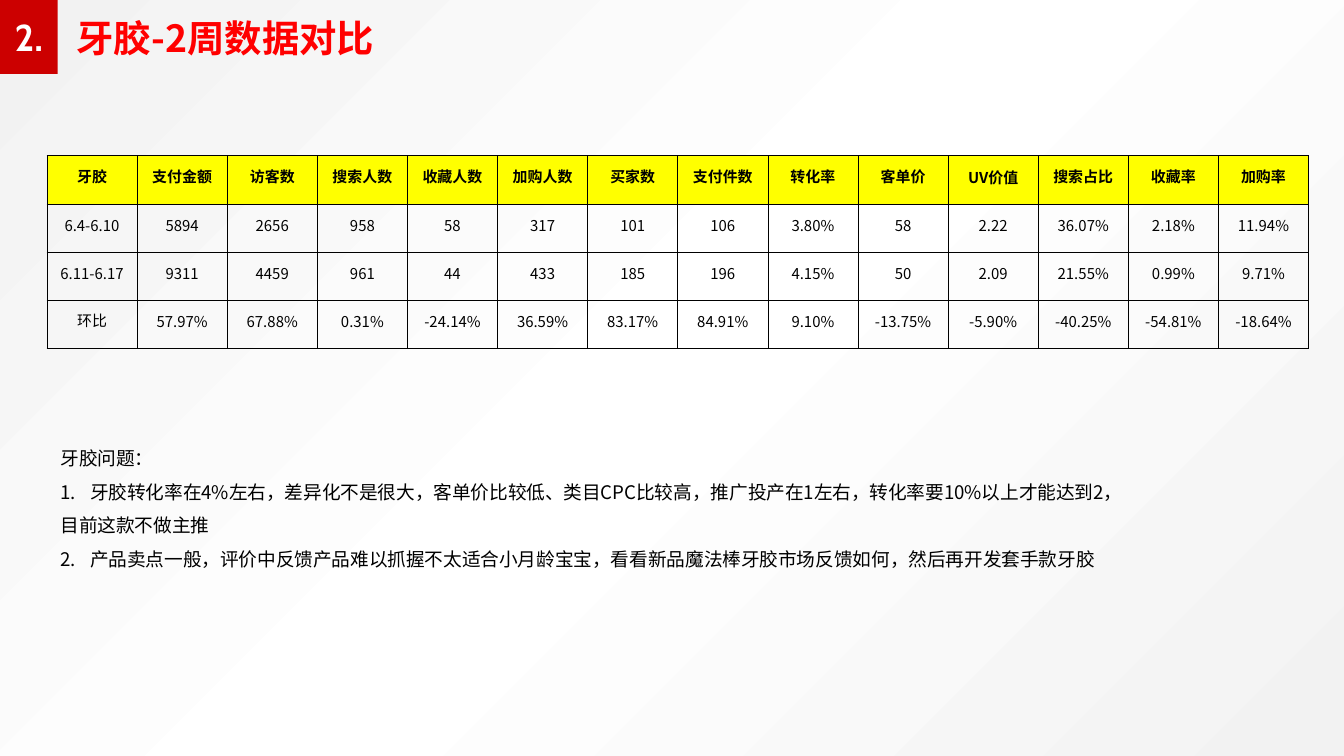
import pptx
import pptx.dml.color
import pptx.enum.shapes
import pptx.enum.text
import pptx.oxml
import pptx.oxml.ns
import pptx.util
from lxml import etree

Inches, Pt = pptx.util.Inches, pptx.util.Pt
RGBColor = pptx.dml.color.RGBColor
Align = pptx.enum.text.PP_ALIGN
Anchor = pptx.enum.text.MSO_ANCHOR

RED = RGBColor(0xCC, 0x00, 0x00)
TITLE_RED = RGBColor(0xFF, 0x00, 0x00)
YELLOW = RGBColor(0xFF, 0xFF, 0x00)
WHITE = RGBColor(0xFF, 0xFF, 0xFF)
BLACK = RGBColor(0x00, 0x00, 0x00)
SILVER = RGBColor(0xF2, 0xF2, 0xF2)
SANS = "Noto Sans CJK SC"

NUMBER = "2."
TITLE = "牙胶-2周数据对比"
NOTES = [
    "牙胶问题：",
    "1.\t牙胶转化率在4%左右，差异化不是很大，客单价比较低、类目CPC比较高，推广投产在1左右，转化率要10%以上才能达到2，",
    "目前这款不做主推",
    "2.\t产品卖点一般，评价中反馈产品难以抓握不太适合小月龄宝宝，看看新品魔法棒牙胶市场反馈如何，然后再开发套手款牙胶",
]
ROWS = [
    ["牙胶", "支付金额", "访客数", "搜索人数", "收藏人数", "加购人数", "买家数",
     "支付件数", "转化率", "客单价", "UV价值", "搜索占比", "收藏率", "加购率"],
    ["6.4-6.10", "5894", "2656", "958", "58", "317", "101",
     "106", "3.80%", "58", "2.22", "36.07%", "2.18%", "11.94%"],
    ["6.11-6.17", "9311", "4459", "961", "44", "433", "185",
     "196", "4.15%", "50", "2.09", "21.55%", "0.99%", "9.71%"],
    ["环比", "57.97%", "67.88%", "0.31%", "-24.14%", "36.59%", "83.17%",
     "84.91%", "9.10%", "-13.75%", "-5.90%", "-40.25%", "-54.81%", "-18.64%"],
]

SLIDE_WIDTH = 10
SLIDE_HEIGHT = SLIDE_WIDTH * 9 / 16
LEFT, WIDTH = 0.35, 9.39
TABLE_TOP, TABLE_HEIGHT = 1.16, 1.43
NUMBER_INDENT = 0.22
BADGE_FONT = {"name": "Cabin", "size": Pt(20), "bold": True}
TITLE_FONT = {"name": SANS, "size": Pt(20), "bold": True}
NOTE_FONT = {"name": SANS, "size": Pt(10), "bold": False}
HEAD_FONT = {"name": SANS, "size": Pt(8), "bold": True}
CELL_FONT = {"name": SANS, "size": Pt(8), "bold": False}
CELL_FORMAT = {
    "vertical_anchor": Anchor.MIDDLE,
    "margin_left": Inches(0.01), "margin_right": Inches(0.01),
    "margin_top": Inches(0.01), "margin_bottom": Inches(0.05),
}


def apply(target, values):
    for name, value in values.items():
        setattr(target, name, value)


def add_element(parent, tag, **attributes):
    return etree.SubElement(parent, pptx.oxml.ns.qn(tag), attributes)


def write(para, text, font, color, align=Align.LEFT, east_asian=SANS):
    para.alignment = align
    span = para.add_run()
    span.text = text
    apply(span.font, font)
    span.font.color.rgb = color
    add_element(span.font._element, "a:ea", typeface=east_asian)


def place(shape, left, top, width, height):
    apply(shape, {"left": Inches(left), "top": Inches(top),
                  "width": Inches(width), "height": Inches(height)})


def paint_background(page):
    fill = page.background.fill
    fill.gradient()
    gradient = page.background._cSld.find(".//" + pptx.oxml.ns.qn("a:gradFill"))
    for child in list(gradient):
        gradient.remove(child)
    stops = add_element(gradient, "a:gsLst")
    for position, color in ((0, SILVER), (50, WHITE), (100, SILVER)):
        stop = add_element(stops, "a:gs", pos=str(position * 1000))
        add_element(stop, "a:srgbClr", val=str(color))
    circle = add_element(gradient, "a:path", path="circle")
    add_element(circle, "a:fillToRect", l="100000", t="100000")


def add_badge(page):
    badge = page.shapes.add_shape(
        pptx.enum.shapes.MSO_SHAPE.RECTANGLE, 0, 0, Inches(0.43), Inches(0.55))
    badge.shadow.inherit = False
    badge.fill.solid()
    badge.fill.fore_color.rgb = RED
    badge.line.fill.background()
    apply(badge.text_frame, {"vertical_anchor": Anchor.MIDDLE, "word_wrap": True,
                             "margin_left": 0, "margin_right": 0})
    write(badge.text_frame.paragraphs[0], NUMBER, BADGE_FONT, WHITE, Align.CENTER)


def fill_title(page):
    title = page.shapes.title
    place(title, 0.47, 0.06, 2.44, 0.44)
    apply(title.text_frame, {
        "vertical_anchor": Anchor.TOP, "word_wrap": True,
        "auto_size": pptx.enum.text.MSO_AUTO_SIZE.SHAPE_TO_FIT_TEXT})
    write(title.text_frame.paragraphs[0], TITLE, TITLE_FONT, TITLE_RED)


def fill_notes(page):
    body = page.placeholders[1]
    place(body, LEFT, 3.19, WIDTH, 1.39)
    frame = body.text_frame
    apply(frame, {"vertical_anchor": Anchor.TOP, "word_wrap": True,
                  "auto_size": pptx.enum.text.MSO_AUTO_SIZE.NONE})
    for index, text in enumerate(NOTES):
        para = frame.add_paragraph() if index else frame.paragraphs[0]
        apply(para, {"line_spacing": 1.5, "space_before": Pt(0)})
        indent = Inches(NUMBER_INDENT) if "\t" in text else 0
        properties = para._p.get_or_add_pPr()
        properties.set("marL", str(indent))
        properties.set("indent", str(-indent))
        add_element(properties, "a:buNone")
        write(para, text, NOTE_FONT, BLACK)


def add_borders(cell):
    properties = cell._tc.get_or_add_tcPr()
    for index, side in enumerate(("a:lnL", "a:lnR", "a:lnT", "a:lnB")):
        line = add_element(properties, side, w=str(Pt(0.5)))
        add_element(add_element(line, "a:solidFill"), "a:srgbClr", val=str(BLACK))
        properties.insert(index, line)


def add_data_table(page):
    table = page.shapes.add_table(
        len(ROWS), len(ROWS[0]), Inches(LEFT), Inches(TABLE_TOP),
        Inches(WIDTH), Inches(TABLE_HEIGHT)).table
    for column in table.columns:
        column.width = Inches(WIDTH / len(ROWS[0]))
    for row_index, values in enumerate(ROWS):
        for column_index, text in enumerate(values):
            cell = table.cell(row_index, column_index)
            apply(cell, CELL_FORMAT)
            if row_index:
                cell.fill.background()
            else:
                cell.fill.solid()
                cell.fill.fore_color.rgb = YELLOW
            add_borders(cell)
            write(cell.text_frame.paragraphs[0], text,
                  CELL_FONT if row_index else HEAD_FONT, BLACK, Align.CENTER, "Arial")


def main():
    deck = pptx.Presentation()
    apply(deck, {"slide_width": Inches(SLIDE_WIDTH),
                 "slide_height": Inches(SLIDE_HEIGHT)})
    page = deck.slides.add_slide(deck.slide_layouts[1])
    paint_background(page)
    add_badge(page)
    fill_title(page)
    fill_notes(page)
    add_data_table(page)
    deck.save("out.pptx")


if __name__ == "__main__":
    main()
